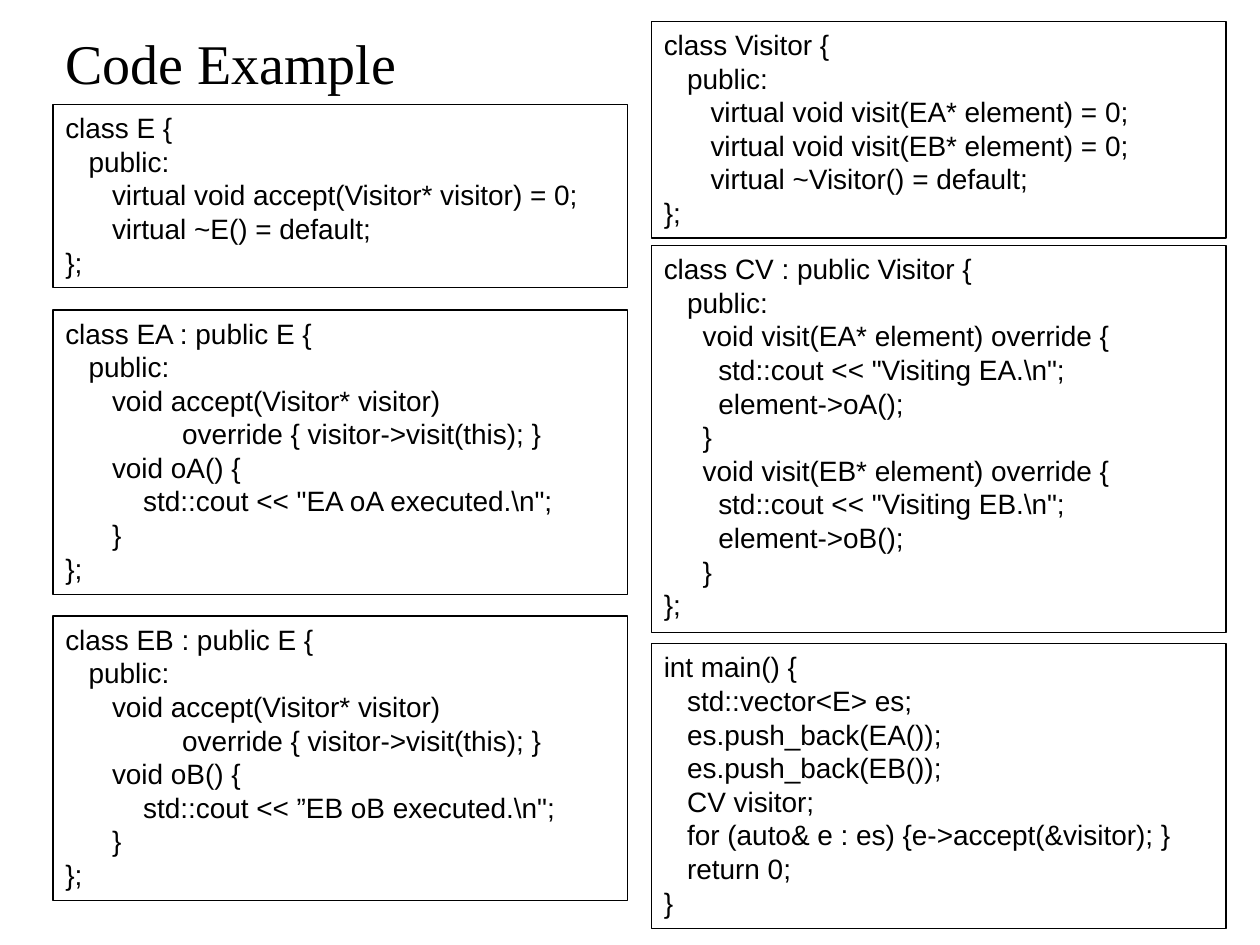
from pptx import Presentation
from pptx.dml.color import RGBColor
from pptx.enum.shapes import MSO_SHAPE
from pptx.enum.text import MSO_ANCHOR, MSO_AUTO_SIZE, PP_ALIGN
from pptx.util import Inches, Pt

COLORS = {"ink": "000000", "paper": "FFFFFF"}
COLUMN_WIDTH = 4.56
LINE_HEIGHT = 0.27
PADDING = 0.1
INDENT_STEP = 4.45
LEFT, RIGHT = 0.42, 5.17


def write_line(paragraph, text, font="Arial", size=16, color="ink", indent=0):
    paragraph.alignment = PP_ALIGN.LEFT
    if indent:
        properties = paragraph._p.get_or_add_pPr()
        properties.set("marL", str(int(Pt(indent * INDENT_STEP))))
        properties.set("indent", "0")
    run = paragraph.add_run()
    run.text = text
    run.font.name = font
    run.font.size = Pt(size)
    run.font.color.rgb = RGBColor.from_string(COLORS[color])


class CodeSlide:
    """Draws the title and the code boxes on one slide."""

    def __init__(self, slide):
        self.slide = slide
        self.slide.background.fill.solid()
        self.slide.background.fill.fore_color.rgb = RGBColor.from_string(COLORS["paper"])

    def title(self, text, left, top, width, height):
        heading = self.slide.shapes.add_textbox(
            Inches(left), Inches(top), Inches(width), Inches(height))
        frame = heading.text_frame
        frame.word_wrap = True
        frame.vertical_anchor = MSO_ANCHOR.MIDDLE
        write_line(frame.paragraphs[0], text, font="Times New Roman", size=32)

    def code(self, lines, left, top):
        height = LINE_HEIGHT * len(lines) + PADDING
        listing = self.slide.shapes.add_shape(
            MSO_SHAPE.RECTANGLE, Inches(left), Inches(top),
            Inches(COLUMN_WIDTH), Inches(height))
        listing.shadow.inherit = False
        listing.fill.background()
        listing.line.color.rgb = RGBColor.from_string(COLORS["ink"])
        listing.line.width = Pt(0.75)
        frame = listing.text_frame
        frame.word_wrap = True
        frame.auto_size = MSO_AUTO_SIZE.SHAPE_TO_FIT_TEXT
        frame.vertical_anchor = MSO_ANCHOR.TOP
        for number, (indent, text) in enumerate(lines):
            paragraph = frame.add_paragraph() if number else frame.paragraphs[0]
            write_line(paragraph, text, indent=indent)


def element_class(letter, quote):
    return [
        (0, f"class E{letter} : public E {{"),
        (3, "public:"),
        (6, "void accept(Visitor* visitor)"),
        (15, "override { visitor->visit(this); }"),
        (6, f"void o{letter}() {{"),
        (10, f'std::cout << {quote}E{letter} o{letter} executed.\\n";'),
        (6, "}"),
        (0, "};"),
    ]


def visit_method(letter):
    return [
        (5, f"void visit(E{letter}* element) override {{"),
        (7, f'std::cout << "Visiting E{letter}.\\n";'),
        (7, f"element->o{letter}();"),
        (5, "}"),
    ]


BASE_ELEMENT = [
    (0, "class E {"),
    (3, "public:"),
    (6, "virtual void accept(Visitor* visitor) = 0;"),
    (6, "virtual ~E() = default;"),
    (0, "};"),
]
BASE_VISITOR = [
    (0, "class Visitor {"),
    (3, "public:"),
    (6, "virtual void visit(EA* element) = 0;"),
    (6, "virtual void visit(EB* element) = 0;"),
    (6, "virtual ~Visitor() = default;"),
    (0, "};"),
]
CONCRETE_VISITOR = [
    (0, "class CV : public Visitor {"),
    (3, "public:"),
    *visit_method("A"),
    *visit_method("B"),
    (0, "};"),
]
MAIN_PROGRAM = [
    (0, "int main() {"),
    (3, "std::vector<E> es;"),
    (3, "es.push_back(EA());"),
    (3, "es.push_back(EB());"),
    (3, "CV visitor;"),
    (3, "for (auto& e : es) {e->accept(&visitor); }"),
    (3, "return 0;"),
    (0, "}"),
]


def main():
    deck = Presentation()
    deck.slide_width, deck.slide_height = Inches(10), Inches(7.5)
    page = CodeSlide(deck.slides.add_slide(deck.slide_layouts[6]))
    page.title("Code Example", LEFT, 0.24, 3.83, 0.5)
    page.code(BASE_ELEMENT, LEFT, 0.83)
    page.code(element_class("A", '"'), LEFT, 2.46)
    page.code(element_class("B", "”"), LEFT, 4.89)
    page.code(BASE_VISITOR, RIGHT, 0.17)
    page.code(CONCRETE_VISITOR, RIGHT, 1.95)
    page.code(MAIN_PROGRAM, RIGHT, 5.11)
    deck.save("out.pptx")


if __name__ == "__main__":
    main()
